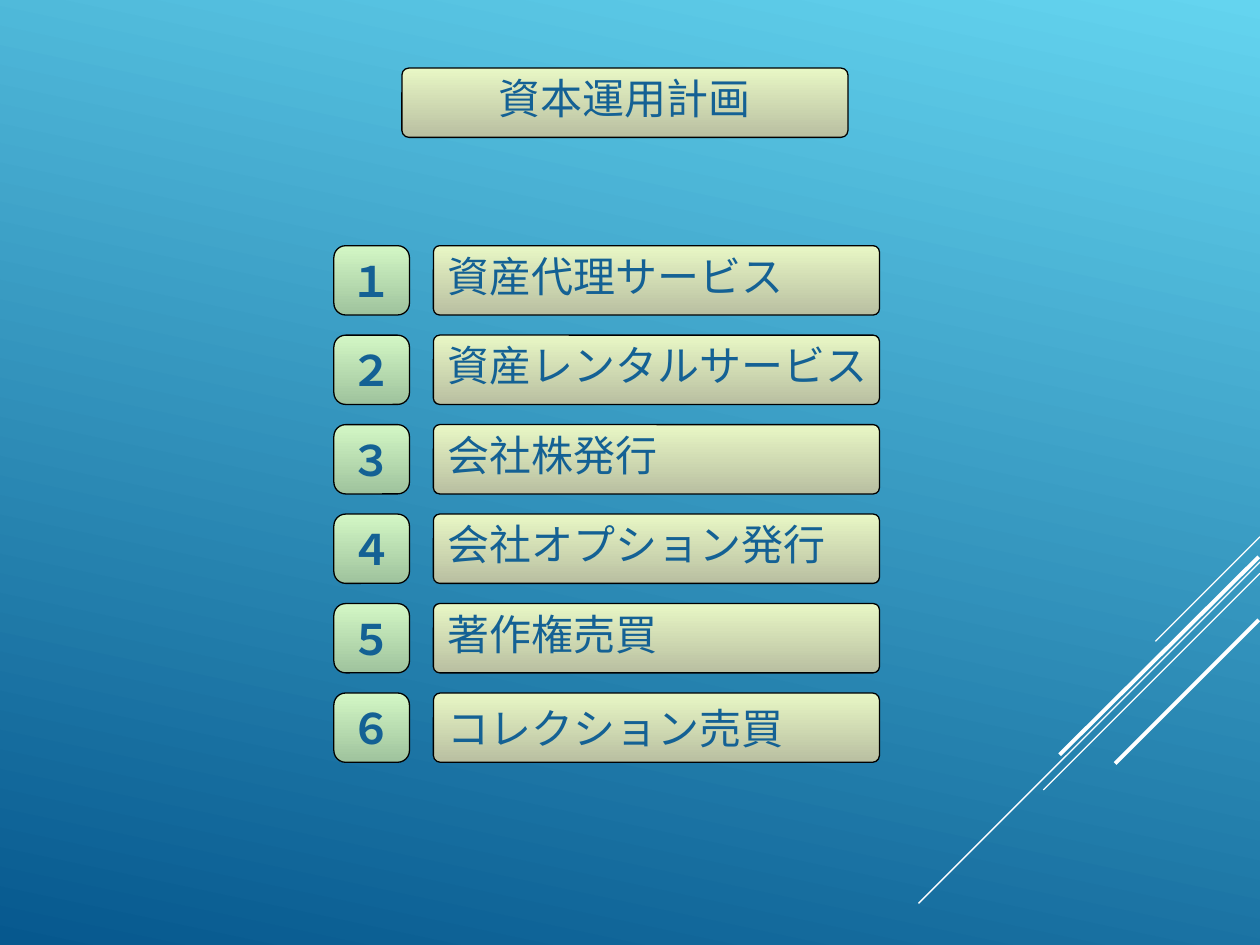
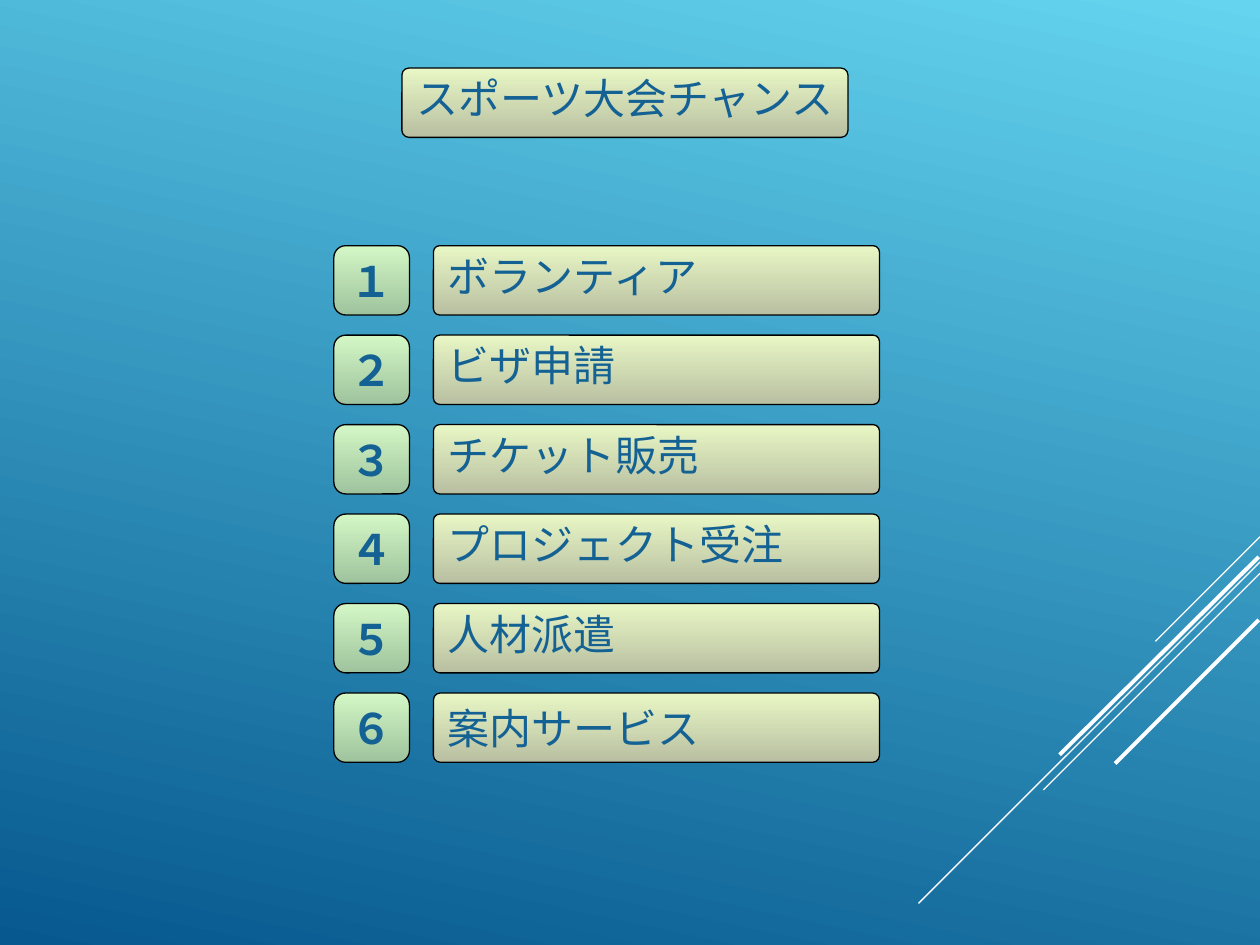
from dataclasses import dataclass

import lxml.etree
import pptx
import pptx.dml.color
import pptx.enum.shapes
import pptx.enum.text
import pptx.oxml.ns
import pptx.util

Inches = pptx.util.Inches
Pt = pptx.util.Pt
qn = pptx.oxml.ns.qn
ALIGN = pptx.enum.text.PP_ALIGN

FONT = "Noto Sans CJK JP"
COLOURS = {
    "sky": "64D4EF",
    "sea": "06588E",
    "bar_top": "E8F7C5",
    "bar_bottom": "B9BFA1",
    "badge_top": "D3F7C5",
    "badge_bottom": "9FC39D",
    "text": "146194",
    "outline": "000000",
    "stripe": "FFFFFF",
}

# Geometry of the title and the numbered list
ROW_TOP, ROW_PITCH = 1.95, 0.71
BOX_HEIGHT = 0.55
BAR_WIDTH, BADGE_WIDTH = 3.54, 0.6
TITLE_LEFT, TITLE_TOP = 3.19, 0.54
BADGE_LEFT, BAR_LEFT = 2.65, 3.44
HANGING_INDENT = 0.38


@dataclass(frozen=True)
class BoxStyle:
    width: float
    colours: tuple[str, str]
    corner: float
    paragraph: dict
    bold: bool = False
    hanging: bool = False


@dataclass(frozen=True)
class Stripe:
    start: tuple[float, float]
    end: tuple[float, float]
    weight: float = 0.75


@dataclass(frozen=True)
class ListSlide:
    title: str
    items: tuple[str, ...]


BAR_COLOURS = ("bar_top", "bar_bottom")
TIGHT = {"line_spacing": 0.8, "space_before": Pt(6)}
TITLE = BoxStyle(BAR_WIDTH, BAR_COLOURS, 0.1, {"alignment": ALIGN.CENTER, **TIGHT}, hanging=True)
BAR = BoxStyle(BAR_WIDTH, BAR_COLOURS, 0.09, {"alignment": ALIGN.LEFT, **TIGHT}, hanging=True)
LAST_BAR = BoxStyle(BAR_WIDTH, BAR_COLOURS, 0.1, {"alignment": ALIGN.LEFT, "space_before": Pt(6)})
BADGE = BoxStyle(BADGE_WIDTH, ("badge_top", "badge_bottom"), 0.17,
                 {"alignment": ALIGN.CENTER}, bold=True)

STRIPES = (
    Stripe((10, 4.26), (9.17, 5.09)),
    Stripe((10, 4.46), (7.29, 7.17)),
    Stripe((10, 4.55), (8.28, 6.27)),
    Stripe((9.99, 4.42), (8.41, 5.99), 2.25),
    Stripe((9.99, 4.92), (8.85, 6.06), 2.25),
)

NUMBERS = "１２３４５６"
SLIDES = (
    ListSlide("資本運用計画", (
        "資産代理サービス", "資産レンタルサービス", "会社株発行",
        "会社オプション発行", "著作権売買", "コレクション売買")),
    ListSlide("スポーツ大会チャンス", (
        "ボランティア", "ビザ申請", "チケット販売",
        "プロジェクト受注", "人材派遣", "案内サービス")),
)


def colour(name: str) -> pptx.dml.color.RGBColor:
    return pptx.dml.color.RGBColor.from_string(COLOURS[name])


def apply_format(target, values: dict) -> None:
    for name, value in values.items():
        setattr(target, name, value)


def fill_gradient(fill, names: tuple[str, str], clockwise_angle: float) -> None:
    fill.gradient()
    fill.gradient_angle = 360 - clockwise_angle
    for stop, position, name in zip(fill.gradient_stops, (0, 1), names):
        stop.position = position
        stop.color.rgb = colour(name)


def write_text(shape, text: str, style: BoxStyle) -> None:
    frame = shape.text_frame
    apply_format(frame, {
        "word_wrap": False,
        "auto_size": pptx.enum.text.MSO_AUTO_SIZE.NONE,
        "vertical_anchor": pptx.enum.text.MSO_ANCHOR.MIDDLE,
        "margin_left": Inches(0.1), "margin_right": Inches(0.1),
        "margin_top": Inches(0.05), "margin_bottom": Inches(0.05),
    })
    paragraph = frame.paragraphs[0]
    apply_format(paragraph, style.paragraph)
    if style.hanging:
        properties = paragraph._p.get_or_add_pPr()
        properties.set("marL", str(Inches(HANGING_INDENT)))
        properties.set("indent", str(-Inches(HANGING_INDENT)))
    run = paragraph.add_run()
    run.text = text
    apply_format(run.font, {"name": FONT, "size": Pt(24), "bold": style.bold})
    run.font.color.rgb = colour("text")
    lxml.etree.SubElement(run._r.get_or_add_rPr(), qn("a:ea"), typeface=FONT)


def add_plate(slide, left: float, top: float, style: BoxStyle):
    plate = slide.shapes.add_shape(
        pptx.enum.shapes.MSO_SHAPE.ROUNDED_RECTANGLE,
        Inches(left), Inches(top), Inches(style.width), Inches(BOX_HEIGHT))
    plate.adjustments[0] = style.corner
    fill_gradient(plate.fill, style.colours, 90)
    plate.line.color.rgb = colour("outline")
    plate.line.width = Pt(0.75)
    plate.shadow.inherit = False
    return plate


def add_box(slide, left: float, top: float, text: str, style: BoxStyle) -> None:
    write_text(add_plate(slide, left, top, style), text, style)


def set_title(slide, text: str) -> None:
    plate = add_plate(slide, TITLE_LEFT, TITLE_TOP, TITLE)
    title = slide.shapes.title
    apply_format(title, {name: getattr(plate, name) for name in ("left", "top", "width", "height")})
    write_text(title, text, TITLE)
    # Bring the title in front of its plate
    plate._element.addnext(title._element)


def add_stripe(slide, stripe: Stripe) -> None:
    points = [Inches(value) for value in (*stripe.start, *stripe.end)]
    connector = slide.shapes.add_connector(pptx.enum.shapes.MSO_CONNECTOR.STRAIGHT, *points)
    connector.line.color.rgb = colour("stripe")
    connector.line.width = Pt(stripe.weight)
    lxml.etree.SubElement(connector._element.spPr, qn("a:effectLst"))


def build_slide(presentation, content: ListSlide) -> None:
    slide = presentation.slides.add_slide(presentation.slide_layouts.get_by_name("Title Only"))
    for stripe in STRIPES:
        add_stripe(slide, stripe)
    set_title(slide, content.title)
    # Numbered rows
    last = len(content.items) - 1
    for row, (number, item) in enumerate(zip(NUMBERS, content.items)):
        top = ROW_TOP + row * ROW_PITCH
        add_box(slide, BADGE_LEFT, top, number, BADGE)
        add_box(slide, BAR_LEFT, top, item, LAST_BAR if row == last else BAR)


def main() -> None:
    presentation = pptx.Presentation()
    presentation.slide_width = Inches(10)
    presentation.slide_height = Inches(7.5)
    fill_gradient(presentation.slide_master.background.fill, ("sky", "sea"), 102)
    for content in SLIDES:
        build_slide(presentation, content)
    presentation.save("out.pptx")


if __name__ == "__main__":
    main()
